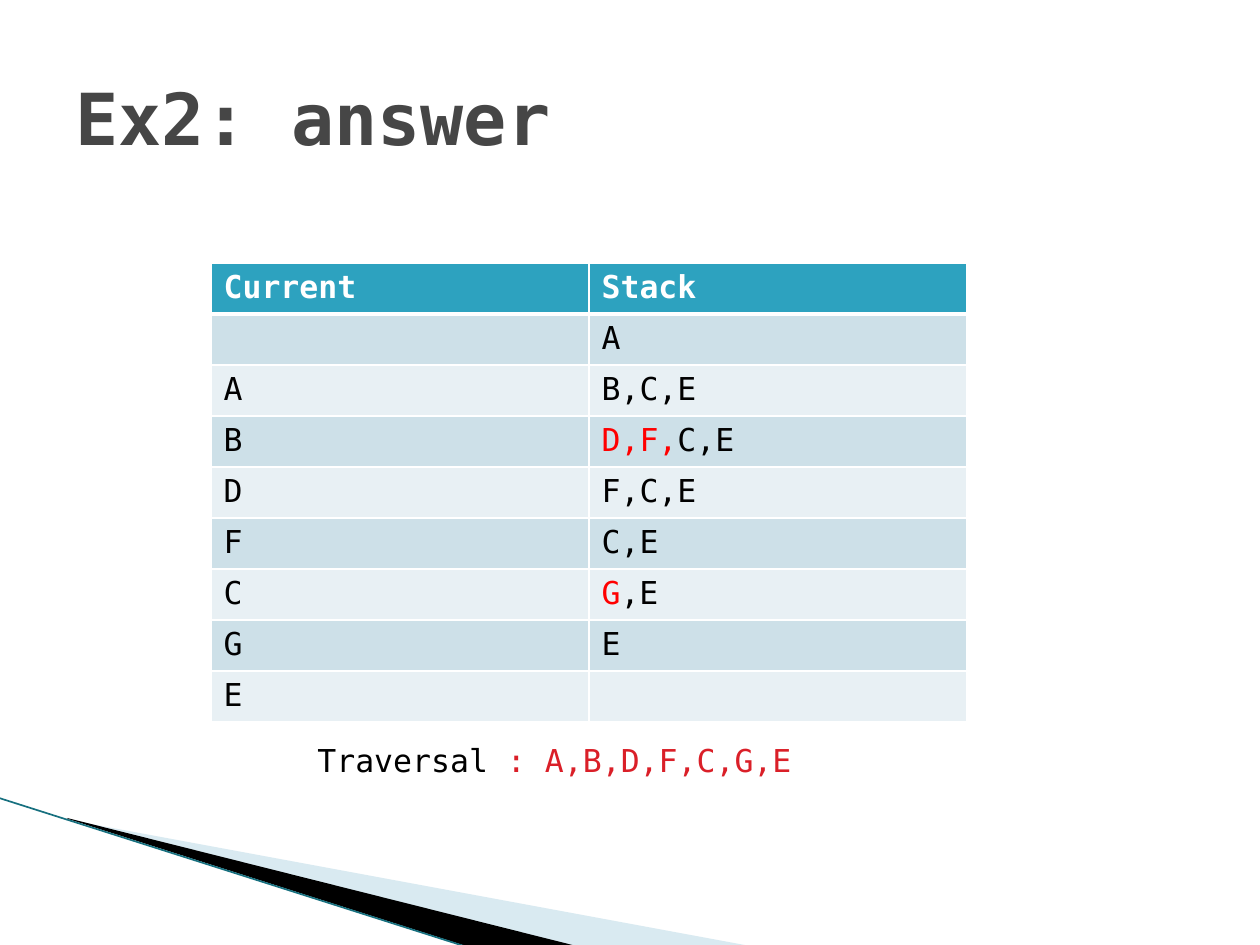
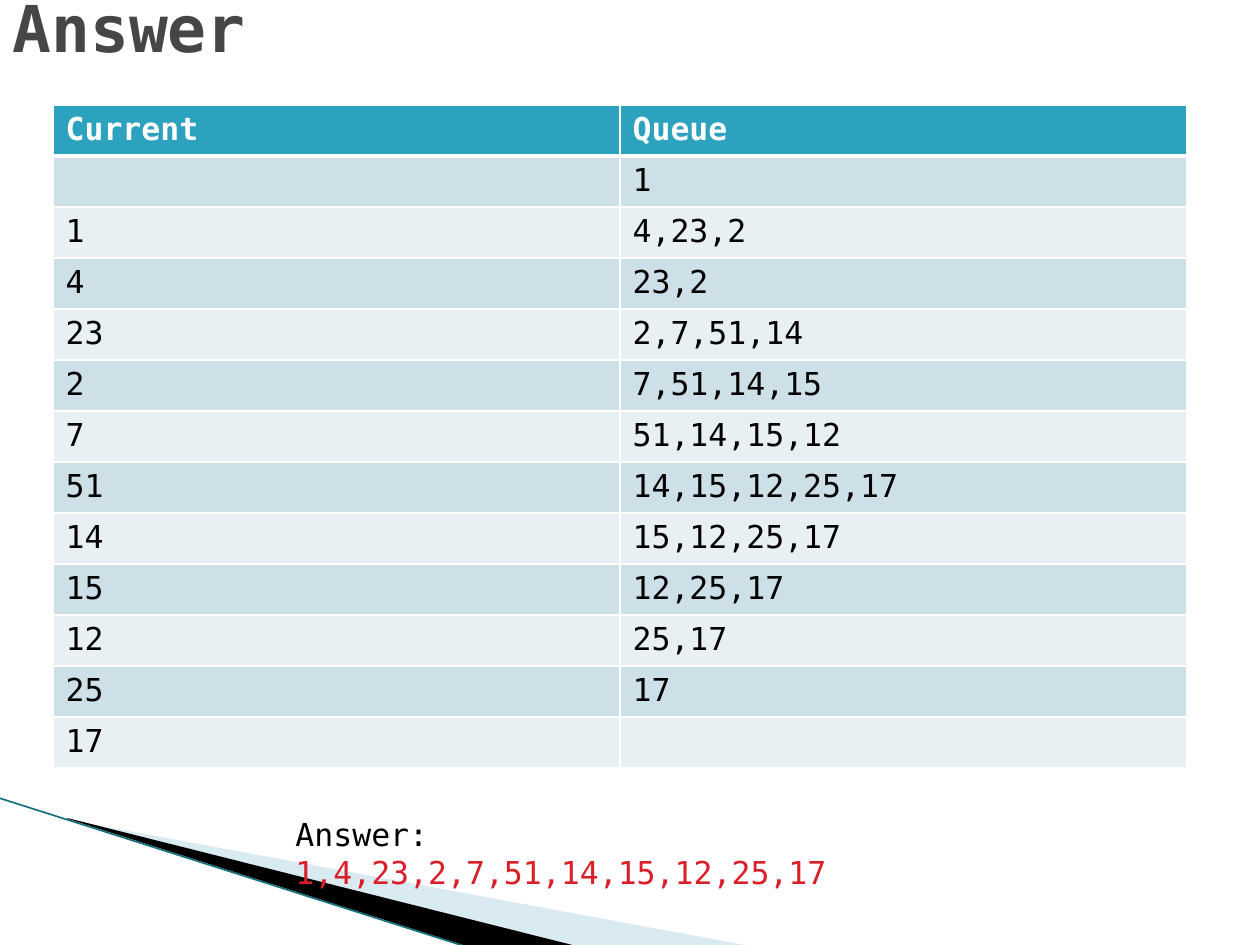
from dataclasses import dataclass

from lxml.etree import SubElement
from pptx import Presentation
from pptx.dml.color import RGBColor as Rgb
from pptx.enum.shapes import MSO_CONNECTOR as Connector
from pptx.enum.text import MSO_ANCHOR as Anchor, MSO_AUTO_SIZE as AutoSize
from pptx.oxml.ns import qn
from pptx.util import Pt

PX = 914400 / 126


def px(length):
    return round(length * PX)


@dataclass(frozen=True)
class Theme:
    font: str = "DejaVu Sans Mono"
    body_size: float = 18
    title: str = "464646"
    text: str = "000000"
    answer: str = "DA1F28"
    pushed: str = "FF0000"
    white: str = "FFFFFF"
    header: str = "2DA2BF"
    bands: tuple = ("CDE0E8", "E8F0F4")
    light_wedge: str = "A0CBDC"
    dark_wedge: str = "000000"
    edge: str = "17707F"


class Deck:
    ROW_HEIGHT = 51

    def __init__(self, theme):
        self.theme = theme
        self.presentation = Presentation()
        self.presentation.slide_width = px(1260)
        self.presentation.slide_height = px(945)
        self.slide = None

    def new_slide(self):
        self.slide = self.presentation.slides.add_slide(self.presentation.slide_layouts[6])
        self.wedge([(69, 820), (750, 946), (575, 946), (69, 819)], self.theme.light_wedge, 40)
        self.wedge([(67, 818), (576, 946), (469, 947), (68, 819)], self.theme.dark_wedge)
        self.edge((-1, 798), (467, 947))

    def wedge(self, points, color, opacity=100):
        builder = self.slide.shapes.build_freeform(*points[0], scale=PX)
        builder.add_line_segments(points[1:], close=True)
        wedge = builder.convert_to_shape()
        wedge.shadow.inherit = False
        wedge.line.fill.background()
        wedge.fill.solid()
        wedge.fill.fore_color.rgb = Rgb.from_string(color)
        if opacity < 100:
            rgb = wedge._element.spPr.find(qn("a:solidFill"))[0]
            SubElement(rgb, qn("a:alpha"), val=str(opacity * 1000))

    def edge(self, start, end):
        edge = self.slide.shapes.add_connector(
            Connector.STRAIGHT, *map(px, start), *map(px, end))
        edge.line.color.rgb = Rgb.from_string(self.theme.edge)
        edge.line.width = Pt(0.95)
        SubElement(edge._element.spPr, qn("a:effectLst"))

    def add_runs(self, paragraph, pieces, size=None, bold=False):
        """Fill a paragraph from (text, colour) pieces."""
        for text, color in pieces:
            run = paragraph.add_run()
            run.text = text
            run.font.name = self.theme.font
            run.font.size = Pt(size or self.theme.body_size)
            run.font.bold = bold
            run.font.color.rgb = Rgb.from_string(color)

    def text_frame(self, box):
        frame = self.slide.shapes.add_textbox(*map(px, box)).text_frame
        frame.word_wrap = True
        return frame

    def title(self, text, box, size):
        frame = self.text_frame(box)
        frame.vertical_anchor = Anchor.MIDDLE
        self.add_runs(frame.paragraphs[0], [(text, self.theme.title)], size, bold=True)

    def result(self, label, visited, box):
        frame = self.text_frame(box)
        frame.auto_size = AutoSize.SHAPE_TO_FIT_TEXT
        self.add_runs(frame.paragraphs[0],
                      [(label, self.theme.text), (visited, self.theme.answer)])

    def border(self, cell, top, bottom):
        properties = cell._tc.get_or_add_tcPr()
        for side, points in (("L", 1), ("R", 1), ("T", top), ("B", bottom)):
            line = SubElement(properties, qn(f"a:ln{side}"), w=str(int(Pt(points))))
            fill = SubElement(line, qn("a:solidFill"))
            SubElement(fill, qn("a:srgbClr"), val=self.theme.white)

    def cell(self, cell, pieces, row):
        self.border(cell, top=3 if row == 1 else 1, bottom=3 if row == 0 else 1)
        cell.fill.solid()
        fill = self.theme.bands[(row - 1) % 2] if row else self.theme.header
        cell.fill.fore_color.rgb = Rgb.from_string(fill)
        self.add_runs(cell.text_frame.paragraphs[0], pieces, bold=row == 0)

    def trace(self, left, top, width, pending_name, visited, pending):
        """Table of each visited node beside what is pending; 'a|b' marks a as just pushed."""
        theme = self.theme
        steps = list(zip(["", *visited], pending))
        table = self.slide.shapes.add_table(
            len(steps) + 1, 2, px(left), px(top), px(width),
            px(self.ROW_HEIGHT * (len(steps) + 1))).table
        for column, heading in enumerate(("Current", pending_name)):
            self.cell(table.cell(0, column), [(heading, theme.white)], 0)
        for row, (current, waiting) in enumerate(steps, 1):
            pushed, _, rest = waiting.rpartition("|")
            pieces = [(pushed, theme.pushed), (rest, theme.text)]
            self.cell(table.cell(row, 0), [(current, theme.text)] if current else [], row)
            self.cell(table.cell(row, 1), [piece for piece in pieces if piece[0]], row)


def stack_slide(deck):
    visited = list("ABDFCGE")
    stack = ["A", "B,C,E", "D,F,|C,E", "F,C,E", "C,E", "G|,E", "E", ""]
    deck.new_slide()
    deck.trace(211, 263, 756, "Stack", visited, stack)
    deck.title("Ex2: answer", (63, 38, 1134, 158), 41)
    deck.result("Traversal ", ": " + ",".join(visited), (305, 735, 620, 50))


def queue_slide(deck):
    visited = "1 4 23 2 7 51 14 15 12 25 17".split()
    queue = ["1", "4,23,2", "23,2", "2,7,51,14", "7,51,14,15", "51,14,15,12",
             "14,15,12,25,17", "15,12,25,17", "12,25,17", "25,17", "17", ""]
    deck.new_slide()
    deck.trace(53, 105, 1134, "Queue", visited, queue)
    deck.title("Answer", (0, 3, 1103, 47), 36.9)
    deck.result("Answer: ", ",".join(visited), (283, 809, 672, 50))


def main():
    deck = Deck(Theme())
    stack_slide(deck)
    queue_slide(deck)
    deck.presentation.save("out.pptx")


if __name__ == "__main__":
    main()
